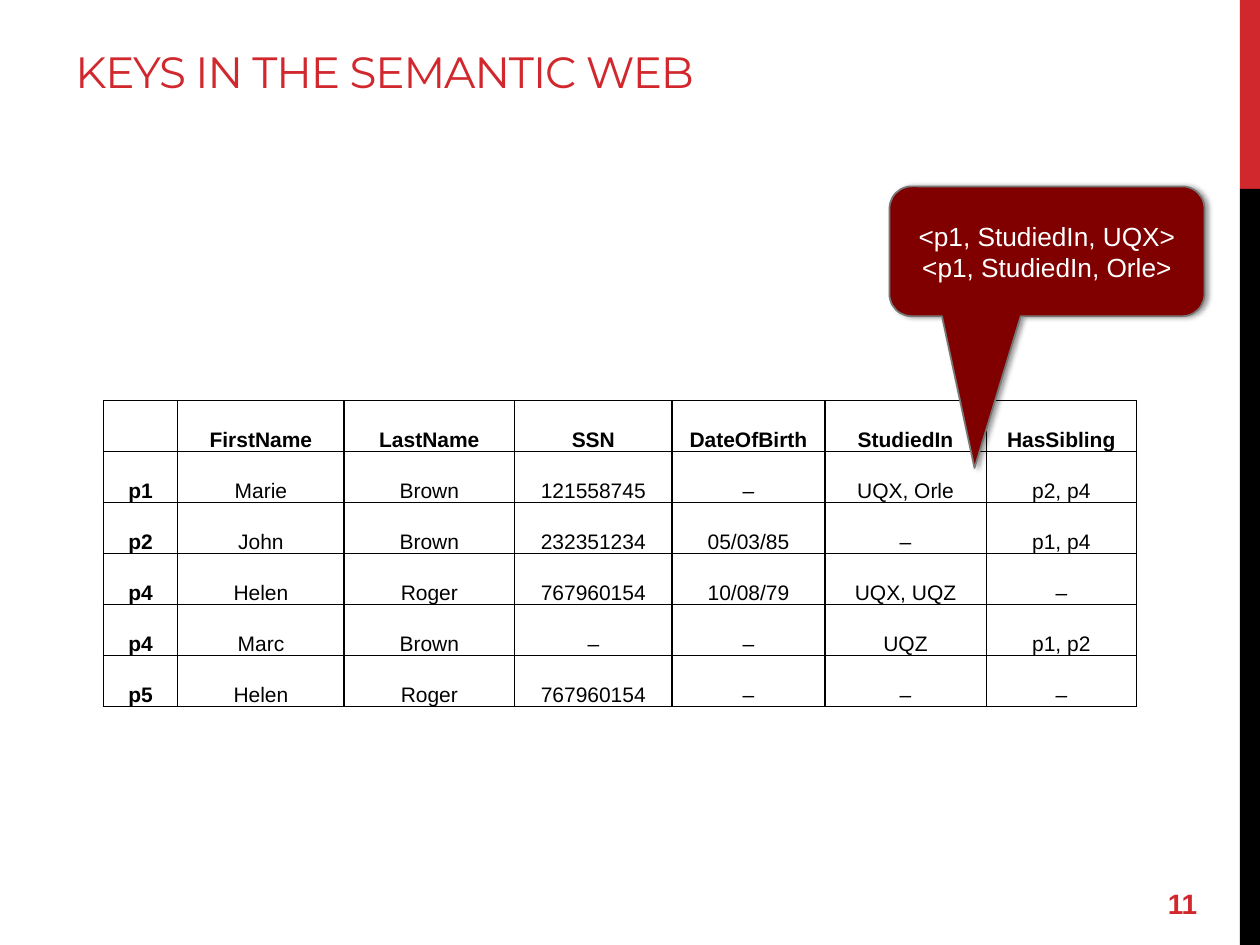
from pptx import Presentation
from pptx.dml.color import RGBColor
from pptx.enum.shapes import MSO_SHAPE as Shape
from pptx.enum.text import MSO_ANCHOR as Anchor, PP_ALIGN as Align
from pptx.oxml import parse_xml
from pptx.oxml.ns import nsdecls
from pptx.util import Inches, Pt

COLORS = {
    "red": "D1282E",
    "black": "000000",
    "white": "FFFFFF",
    "maroon": "800000",
    "outline": "777777",
}

COLUMN_WIDTHS = [0.59, 1.32, 1.35, 1.25, 1.21, 1.28, 1.19]
PEOPLE = [
    ["", "FirstName", "LastName", "SSN", "DateOfBirth", "StudiedIn", "HasSibling"],
    ["p1", "Marie", "Brown", "121558745", "–", "UQX, Orle", "p2, p4"],
    ["p2", "John", "Brown", "232351234", "05/03/85", "–", "p1, p4"],
    ["p4", "Helen", "Roger", "767960154", "10/08/79", "UQX, UQZ", "–"],
    ["p4", "Marc", "Brown", "–", "–", "UQZ", "p1, p2"],
    ["p5", "Helen", "Roger", "767960154", "–", "–", "–"],
]


def rgb(name):
    return RGBColor.from_string(COLORS[name])


def write(frame, *lines, size, color, font="Arial", bold=False,
          align=Align.LEFT, spacing=None):
    """Put each line in its own paragraph of a text frame."""
    for index, line in enumerate(lines):
        paragraph = frame.add_paragraph() if index else frame.paragraphs[0]
        paragraph.alignment = align
        run = paragraph.add_run()
        run.text = line
        run.font.name = font
        run.font.size = Pt(size)
        run.font.bold = bold
        run.font.color.rgb = rgb(color)
        if spacing is not None:
            run.font._element.set("spc", str(round(spacing * 100)))


def add_label(slide, box, text, top_inset=0.05, **text_format):
    frame = slide.shapes.add_textbox(*map(Inches, box)).text_frame
    frame.word_wrap = True
    frame.vertical_anchor = Anchor.MIDDLE
    frame.margin_top = Inches(top_inset)
    write(frame, text, **text_format)


def add_side_band(slide, left, top, width, height):
    accent_height = height / 5
    parts = [("red", top, accent_height),
             ("black", top + accent_height, height - accent_height)]
    for color, part_top, part_height in parts:
        band = slide.shapes.add_shape(
            Shape.RECTANGLE, *map(Inches, (left, part_top, width, part_height)))
        band.shadow.inherit = False
        band.fill.solid()
        band.fill.fore_color.rgb = rgb(color)
        band.line.fill.background()


def add_borders(cell, color, width):
    properties = cell._tc.get_or_add_tcPr()
    for side in "LRTB":
        properties.append(parse_xml(
            f'<a:ln{side} {nsdecls("a")} w="{Pt(width)}"><a:solidFill>'
            f'<a:srgbClr val="{COLORS[color]}"/></a:solidFill></a:ln{side}>'))


def add_people_table(slide, left, top, width, height):
    table = slide.shapes.add_table(
        len(PEOPLE), len(COLUMN_WIDTHS),
        *map(Inches, (left, top, width, height))).table
    table.horz_banding = False
    for column, share in zip(table.columns, COLUMN_WIDTHS):
        column.width = Inches(width * share / sum(COLUMN_WIDTHS))
    for row_index, values in enumerate(PEOPLE):
        for column_index, value in enumerate(values):
            cell = table.cell(row_index, column_index)
            add_borders(cell, "black", 1)
            cell.fill.background()
            cell.vertical_anchor = Anchor.BOTTOM
            cell.margin_left = cell.margin_right = cell.margin_top = Inches(0.01)
            cell.margin_bottom = 0
            write(cell.text_frame, value, size=12, color="black",
                  bold=row_index == 0 or column_index == 0, align=Align.CENTER)


def add_callout(slide, box, *lines):
    callout = slide.shapes.add_shape(
        Shape.ROUNDED_RECTANGULAR_CALLOUT, *map(Inches, box))
    for index, value in enumerate((-0.23, 1.67, 0.17)):
        callout.adjustments[index] = value
    callout.fill.solid()
    callout.fill.fore_color.rgb = rgb("maroon")
    callout.line.color.rgb = rgb("outline")
    callout.line.width = Pt(1)
    callout._element.spPr.append(parse_xml(
        f'<a:effectLst {nsdecls("a")}>'
        f'<a:outerShdw blurRad="{Pt(3.1)}" dist="{Pt(1.8)}" dir="0" rotWithShape="0">'
        f'<a:srgbClr val="{COLORS["black"]}"><a:alpha val="40000"/></a:srgbClr>'
        '</a:outerShdw></a:effectLst>'))
    callout.text_frame.word_wrap = True
    callout.text_frame.vertical_anchor = Anchor.MIDDLE
    write(callout.text_frame, *lines, size=15, color="white", align=Align.CENTER)


def main():
    deck = Presentation()
    deck.slide_width, deck.slide_height = Inches(10), Inches(7.5)
    slide = deck.slides.add_slide(deck.slide_layouts[6])
    add_side_band(slide, 9.84, 0, 0.16, 7.5)
    add_label(slide, (0.5, 0.17, 9.06, 0.84), "KEYS IN THE SEMANTIC WEB",
              top_inset=0, size=25, color="red", font="Montserrat", spacing=-0.6)
    add_label(slide, (9.17, 6.97, 0.83, 0.4), "11", size=16, color="red", bold=True)
    add_people_table(slide, 0.82, 3.18, 8.2, 2.43)
    add_callout(slide, (7.06, 1.48, 2.5, 1.03),
                "<p1, StudiedIn, UQX>", "<p1, StudiedIn, Orle>")
    deck.save("out.pptx")


if __name__ == "__main__":
    main()
